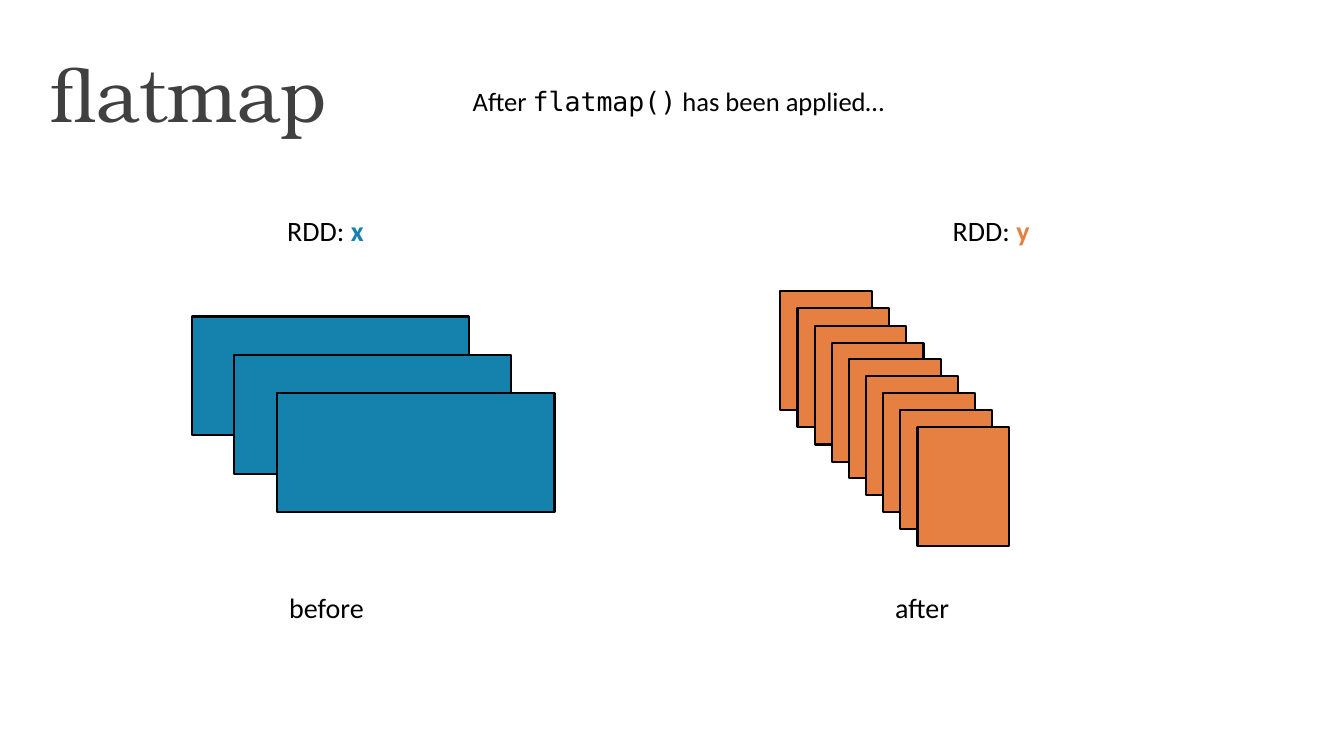
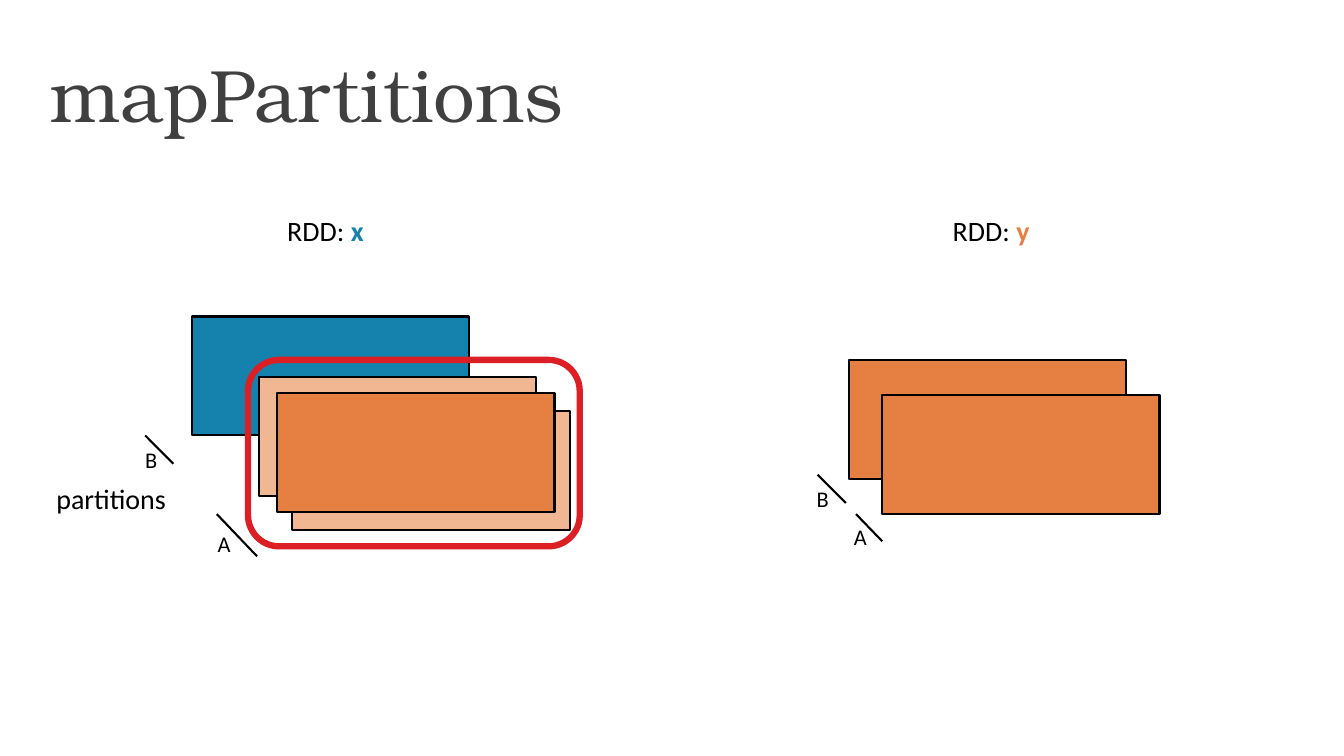
from dataclasses import dataclass
from typing import Any, NamedTuple

from lxml.etree import SubElement
from pptx import Presentation
from pptx.dml.color import RGBColor
from pptx.enum.shapes import MSO_CONNECTOR, MSO_SHAPE
from pptx.enum.text import MSO_ANCHOR, MSO_AUTO_SIZE, PP_ALIGN
from pptx.oxml.ns import qn
from pptx.slide import Slide
from pptx.util import Emu, Pt

PX = 9144  # 100 px to the inch


@dataclass(frozen=True)
class Theme:
    ink: str = "000000"
    heading: str = "404040"
    before: str = "1482AC"
    after: str = "E68042"
    after_light: str = "F1B793"
    highlight: str = "DB1F25"
    heading_font: str = "TeX Gyre Bonum"
    body_font: str = "Calibri"
    code_font: str = "DejaVu Sans Mono"
    heading_size: int = 53
    label_size: int = 20
    caption_size: int = 19
    letter_size: int = 16
    outline: float = 1.5
    highlight_outline: float = 4.5


THEME = Theme()


class Box(NamedTuple):
    left: int
    top: int
    width: int
    height: int


class Span(NamedTuple):
    text: str
    color: str = THEME.ink
    font: str = THEME.body_font
    bold: bool = False


class Stack(NamedTuple):
    """Equal cards stepping evenly from the first corner to the last."""
    first: tuple[int, int]
    last: tuple[int, int]
    count: int
    color: str
    width: int = 275


class Partition(NamedTuple):
    """A slanted tick with its letter."""
    letter: str
    start: tuple[int, int]
    end: tuple[int, int]
    letter_box: Box


CARD_HEIGHT = 118
TITLE_BOX = Box(37, 30, 1248, 125)


def px(*lengths: int) -> list[Emu]:
    return [Emu(length * PX) for length in lengths]


def apply(target: Any, values: dict[str, Any]) -> None:
    for name, value in values.items():
        setattr(target, name, value)


def add_title(slide: Slide, text: str) -> None:
    title = slide.shapes.title
    apply(title, dict(zip(Box._fields, px(*TITLE_BOX))))
    side, edge = px(13, 7)
    apply(title.text_frame, {
        "text": text, "word_wrap": True, "auto_size": MSO_AUTO_SIZE.NONE,
        "vertical_anchor": MSO_ANCHOR.MIDDLE,
        "margin_left": side, "margin_right": side,
        "margin_top": edge, "margin_bottom": edge,
    })
    paragraph = title.text_frame.paragraphs[0]
    paragraph.alignment = PP_ALIGN.LEFT
    font = paragraph.runs[0].font
    apply(font, {"name": THEME.heading_font, "size": Pt(THEME.heading_size)})
    font.color.rgb = RGBColor.from_string(THEME.heading)


def add_label(slide: Slide, box: Box, *spans: Span,
              size: int = THEME.label_size) -> None:
    frame = slide.shapes.add_textbox(*px(*box)).text_frame
    apply(frame, {"word_wrap": True,
                  "auto_size": MSO_AUTO_SIZE.SHAPE_TO_FIT_TEXT})
    for span in spans:
        run = frame.paragraphs[0].add_run()
        run.text = span.text
        apply(run.font, {"name": span.font, "size": Pt(size),
                         "bold": span.bold})
        run.font.color.rgb = RGBColor.from_string(span.color)


def add_panel(slide: Slide, box: Box, fill: str | None,
              kind: MSO_SHAPE = MSO_SHAPE.RECTANGLE, line: str = THEME.ink,
              line_width: float = THEME.outline) -> None:
    panel = slide.shapes.add_shape(kind, *px(*box))
    panel.shadow.inherit = False
    if fill is None:
        panel.fill.background()
    else:
        panel.fill.solid()
        panel.fill.fore_color.rgb = RGBColor.from_string(fill)
    panel.line.color.rgb = RGBColor.from_string(line)
    panel.line.width = Pt(line_width)


def add_stack(slide: Slide, stack: Stack) -> None:
    (left, top), (last_left, last_top) = stack.first, stack.last
    steps = max(stack.count - 1, 1)
    for index in range(stack.count):
        corner = (round(left + (last_left - left) * index / steps),
                  round(top + (last_top - top) * index / steps))
        add_panel(slide, Box(*corner, stack.width, CARD_HEIGHT), stack.color)


def add_partition(slide: Slide, partition: Partition) -> None:
    tick = slide.shapes.add_connector(
        MSO_CONNECTOR.STRAIGHT, *px(*partition.start, *partition.end))
    tick.line.color.rgb = RGBColor.from_string(THEME.ink)
    tick.line.width = Pt(THEME.outline)
    SubElement(tick._element.spPr, qn("a:effectLst"))
    add_label(slide, partition.letter_box, Span(partition.letter),
              size=THEME.letter_size)


def start_slide(deck: Any, title: str) -> Slide:
    """Title and the two RDD headings that both slides share."""
    slide = deck.slides.add_slide(deck.slide_layouts[5])
    add_title(slide, title)
    for left, name, color in ((275, "x", THEME.before),
                              (935, "y", THEME.after)):
        add_label(slide, Box(left, 207, 155, 44), Span("RDD: "),
                  Span(name, color, bold=True))
    return slide


def build_flatmap(deck: Any) -> None:
    slide = start_slide(deck, "flatmap")
    add_label(slide, Box(459, 79, 439, 40), Span("After "),
              Span("flatmap()", font=THEME.code_font),
              Span(" has been applied…"), size=THEME.caption_size)
    # Three elements become nine
    add_stack(slide, Stack((190, 314), (275, 390), 3, THEME.before))
    add_stack(slide, Stack((774, 289), (910, 424), 9, THEME.after, 91))
    for left, stage in ((277, "before"), (878, "after")):
        add_label(slide, Box(left, 581, 188, 44), Span(stage))


def build_map_partitions(deck: Any) -> None:
    slide = start_slide(deck, "mapPartitions")
    # RDD x, with the partition being processed highlighted
    add_stack(slide, Stack((190, 314), (190, 314), 1, THEME.before))
    add_panel(slide, Box(246, 357, 329, 185), None,
              MSO_SHAPE.ROUNDED_RECTANGLE, THEME.highlight,
              THEME.highlight_outline)
    add_stack(slide, Stack((290, 408), (257, 374), 2, THEME.after_light))
    add_stack(slide, Stack((275, 390), (275, 390), 1, THEME.after))
    add_label(slide, Box(46, 473, 162, 44), Span("partitions"))
    # RDD y
    add_stack(slide, Stack((842, 357), (875, 392), 2, THEME.after))
    # Partition marks of both RDDs
    for partition in (
        Partition("A", (215, 510), (255, 552), Box(206, 521, 21, 37)),
        Partition("B", (144, 432), (172, 460), Box(134, 438, 21, 37)),
        Partition("A", (849, 510), (875, 537), Box(837, 514, 21, 37)),
        Partition("B", (811, 471), (839, 499), Box(800, 476, 21, 37)),
    ):
        add_partition(slide, partition)


def main() -> None:
    deck = Presentation()
    deck.slide_width, deck.slide_height = px(1333, 750)
    build_flatmap(deck)
    build_map_partitions(deck)
    deck.save("out.pptx")


if __name__ == "__main__":
    main()
